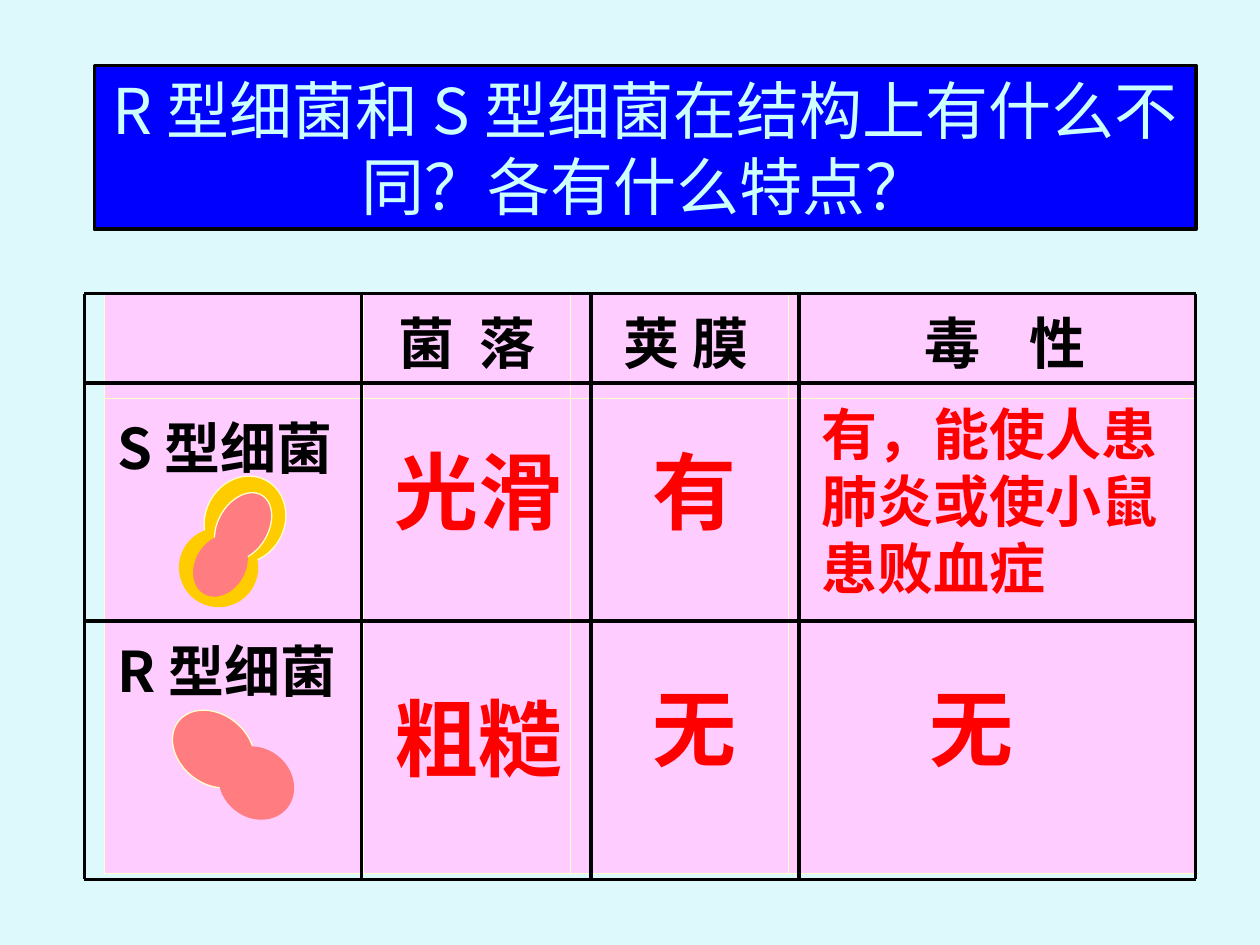
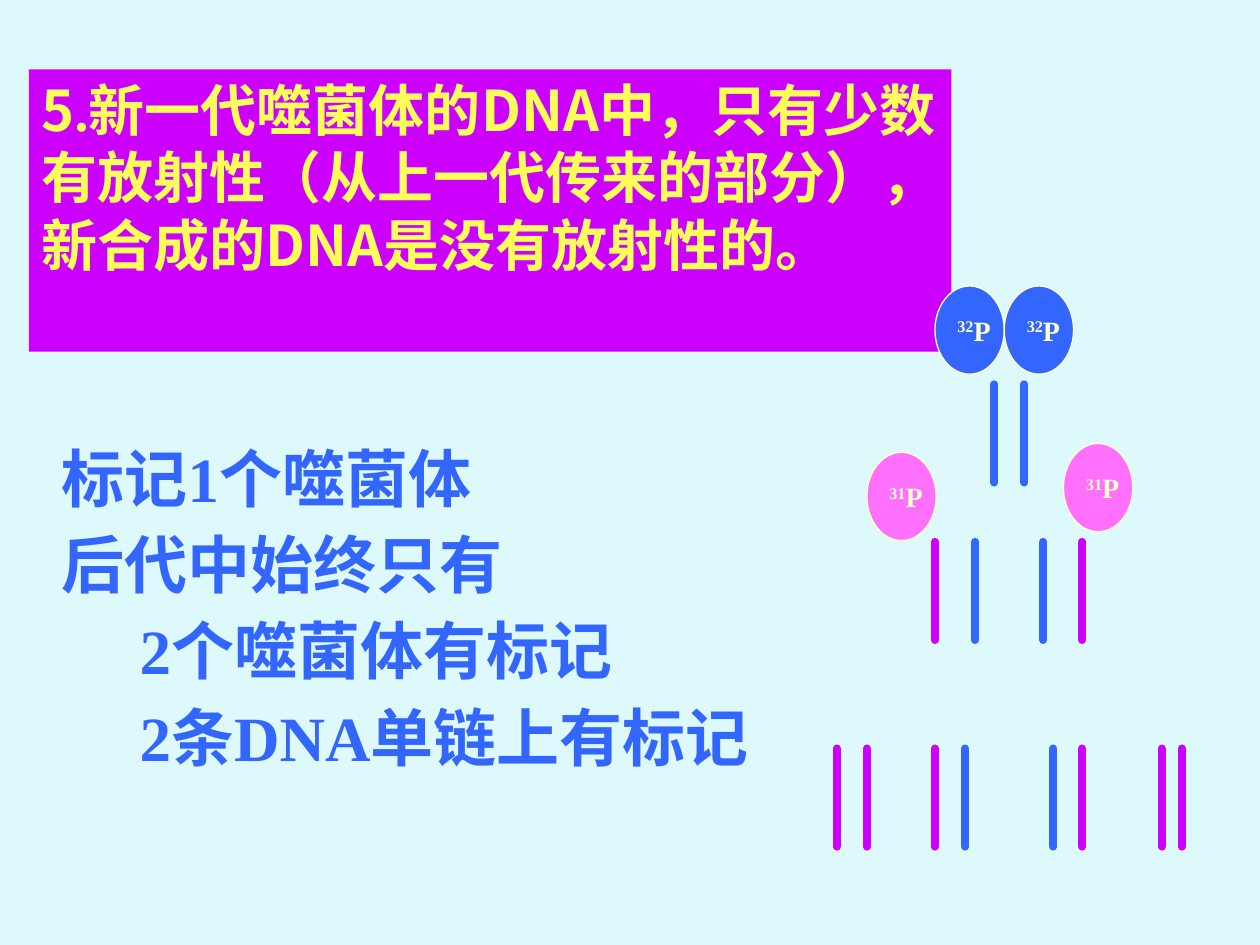
from lxml.etree import SubElement
from pptx import Presentation
from pptx.dml.color import RGBColor
from pptx.enum.shapes import MSO_CONNECTOR, MSO_SHAPE
from pptx.enum.text import MSO_ANCHOR, MSO_AUTO_SIZE, PP_ALIGN
from pptx.oxml.ns import qn
from pptx.util import Emu, Pt

EMU_PER_PX = 9144  # 100 px to the inch
SANS = "Noto Sans CJK SC"
SERIF = "Times New Roman"

BACKGROUND = "DDF9FB"
BLACK = "000000"
TITLE_BLUE = "0000FF"
TITLE_TEXT = "CCFFFF"
PURPLE = "CC00FF"
YELLOW = "FFFF59"
BLUE = "3366FF"
PINK = "FF70FF"
CREAM = "FFFFCC"
CELL_PINK = "FFCCFF"
RED = "FF0000"
CAPSULE = "FFCC00"
BACTERIUM = "FF7C80"


def px(length):
    return Emu(length * EMU_PER_PX)


def color(hex_string):
    return RGBColor.from_string(hex_string)


def paint(shape, fill, line=None, width=0.75):
    shape.fill.solid()
    shape.fill.fore_color.rgb = color(fill)
    if line:
        shape.line.color.rgb = color(line)
        shape.line.width = Pt(width)
    else:
        shape.line.fill.background()


def write(paragraph, parts, size, hex_string, bold=True, latin=SANS):
    """Fill the paragraph with one run for each part, all in one style."""
    for part in parts:
        run = paragraph.add_run()
        run.text = part
        run.font.size = Pt(size)
        run.font.bold = bold
        run.font.color.rgb = color(hex_string)
        run.font.name = latin
        SubElement(run.font._element, qn("a:ea"), typeface=SANS)
    return paragraph.runs


def set_frame(text_frame):
    text_frame.word_wrap = True
    text_frame.auto_size = MSO_AUTO_SIZE.NONE
    text_frame.vertical_anchor = MSO_ANCHOR.TOP
    text_frame.margin_left = text_frame.margin_right = px(10)
    text_frame.margin_top = text_frame.margin_bottom = px(5)


def set_lines(paragraph, size):
    """Tighten the line spacing and keep punctuation inside the box."""
    paragraph.line_spacing = Pt(size * 1.2)
    paragraph._p.get_or_add_pPr().set("hangingPunct", "0")


def add_titled_slide(presentation, box, parts, size, fill, text_color,
                     line=None, bold=True, alignment=PP_ALIGN.LEFT):
    """Add a title-only slide and return it with the runs of its title."""
    slide = presentation.slides.add_slide(presentation.slide_layouts[5])
    title = slide.shapes.title
    title.left, title.top, title.width, title.height = map(px, box)
    paint(title, fill, line, 2.25)
    set_frame(title.text_frame)
    paragraph = title.text_frame.paragraphs[0]
    paragraph.alignment = alignment
    set_lines(paragraph, size)
    return slide, write(paragraph, parts, size, text_color, bold)


def add_text(slide, box, lines, size, hex_string, latin=SANS):
    """Add a text box; each line is a pair of text and left indent."""
    text_frame = slide.shapes.add_textbox(*map(px, box)).text_frame
    set_frame(text_frame)
    for index, (text, indent) in enumerate(lines):
        paragraph = text_frame.add_paragraph() if index else text_frame.paragraphs[0]
        if index:
            paragraph.space_before = Pt(6)
        if indent:
            paragraph._p.get_or_add_pPr().set("marL", str(px(indent)))
        set_lines(paragraph, size)
        write(paragraph, [text], size, hex_string, latin=latin)


def add_ellipse(shapes, box, fill, line=None, rotation=0):
    ellipse = shapes.add_shape(MSO_SHAPE.OVAL, *map(px, box))
    ellipse.shadow.inherit = False
    ellipse.rotation = rotation
    paint(ellipse, fill, line)
    return ellipse


def add_line(slide, start, end, hex_string, width, round_cap=False):
    line = slide.shapes.add_connector(MSO_CONNECTOR.STRAIGHT, *map(px, start + end))
    line.line.color.rgb = color(hex_string)
    line.line.width = Pt(width)
    if round_cap:
        line.line._get_or_add_ln().set("cap", "rnd")
    SubElement(line._element.spPr, qn("a:effectLst"))


def format_cell(cell):
    properties = cell._tc.get_or_add_tcPr()
    for side in ("lnL", "lnR", "lnT", "lnB"):
        border = SubElement(properties, qn(f"a:{side}"), w=str(Pt(0.45)))
        fill = SubElement(border, qn("a:solidFill"))
        SubElement(fill, qn("a:srgbClr"), val=CREAM)
    cell.fill.solid()
    cell.fill.fore_color.rgb = color(CELL_PINK)
    cell.margin_left = cell.margin_right = px(10)
    cell.margin_top = cell.margin_bottom = px(5)


def add_comparison_table(slide, box):
    table = slide.shapes.add_table(3, 4, *map(px, box)).table
    table.first_row = table.horz_banding = False
    for column, width in zip(table.columns, (205, 165, 173, 323)):
        column.width = px(width)
    for row, height in zip(table.rows, (83, 177, 200)):
        row.height = px(height)
    for cell in table.iter_cells():
        format_cell(cell)

    # Heading characters, extra points between them, extra left margin
    headings = [("菌", "落", 7, 0), ("荚", "膜", 0, 10), ("毒", "性", 21, 20)]
    for column, (first, second, gap, margin) in enumerate(headings, start=1):
        cell = table.cell(0, column)
        cell.margin_left = px(10 + margin)
        paragraph = cell.text_frame.paragraphs[0]
        paragraph.alignment = PP_ALIGN.CENTER
        runs = write(paragraph, [first, " ", second], 32, BLACK)
        runs[1].font._element.set("spc", str(gap * 100))
    for row, name in enumerate(("S 型细菌", "R 型细菌"), start=1):
        write(table.cell(row, 0).text_frame.paragraphs[0], [name], 32, BLACK)


def add_ruling(slide, box):
    """Draw the black grid over the table."""
    left, top, width, height = box
    for x in (0, 220, 402, 567, width):
        add_line(slide, (left + x, top), (left + x, top + height), BLACK, 2)
    for y in (0, 71, 260, height):
        add_line(slide, (left, top + y), (left + width, top + y), BLACK, 2)


def add_bacterium(slide, origin, ellipses):
    left, top = origin
    group = slide.shapes.add_group_shape()
    for x, y, width, height, rotation, fill, line in ellipses:
        add_ellipse(group.shapes, (left + x, top + y, width, height),
                    fill, line, rotation)


def add_answers(slide, box):
    left, top = box[:2]
    answers = [
        ("粗糙", 220, 307, 157, 90, 48),
        ("无", 425, 299, 165, 90, 48),
        ("光滑", 220, 111, 157, 90, 48),
        ("有", 425, 111, 102, 90, 48),
        ("有，能使人患肺炎或使小鼠患败血症", 559, 79, 323, 170, 32),
        ("无", 645, 299, 110, 90, 48),
    ]
    for text, x, y, width, height, size in answers:
        add_text(slide, (left + x, top + y, width, height), [(text, 0)], size, RED)


def add_phosphorus(slide, box, mass, fill):
    ellipse = add_ellipse(slide.shapes, box, fill, CREAM)
    text_frame = ellipse.text_frame
    text_frame.word_wrap = False
    text_frame.vertical_anchor = MSO_ANCHOR.MIDDLE
    paragraph = text_frame.paragraphs[0]
    paragraph.alignment = PP_ALIGN.LEFT
    runs = write(paragraph, [mass, "P"], 16, CREAM, latin=SERIF)
    runs[0].font._element.set("baseline", "30000")


def add_replication(slide, box):
    """Draw three generations of DNA strands with their labels."""
    left, top = box[:2]
    generations = [
        (78, [(125, BLUE), (149, BLUE)]),
        (203, [(78, PURPLE), (110, BLUE), (164, BLUE), (195, PURPLE)]),
        (367, [(0, PURPLE), (24, PURPLE), (78, PURPLE), (102, BLUE),
               (172, BLUE), (195, PURPLE), (258, PURPLE), (274, PURPLE)]),
    ]
    for y, strands in generations:
        for x, hex_string in strands:
            add_line(slide, (left + x, top + y), (left + x, top + y + 78),
                     hex_string, 4.5, round_cap=True)
    labels = [(78, 0, "32", BLUE), (133, 0, "32", BLUE),
              (24, 132, "31", PINK), (180, 125, "31", PINK)]
    for x, y, mass, fill in labels:
        add_phosphorus(slide, (left + x, top + y, 55, 70), mass, fill)


def build_bacteria_slide(presentation):
    slide, _ = add_titled_slide(
        presentation, (75, 52, 874, 130),
        ["R 型细菌和 S 型细菌在结构上有什么不同？各有什么特点？"],
        36, TITLE_BLUE, TITLE_TEXT, BLACK, False, PP_ALIGN.CENTER)
    table_box = (83, 233, 866, 460)
    add_comparison_table(slide, table_box)
    add_bacterium(slide, (142, 377), [
        (21, 0, 63, 71, 28.2, CAPSULE, CREAM),
        (0, 42, 63, 63, 28.2, CAPSULE, None),
        (31, 12, 40, 58, 30.7, BACTERIUM, CREAM),
        (13, 46, 40, 52, 30.7, BACTERIUM, None),
    ])
    add_bacterium(slide, (142, 559), [
        (0, 0, 55, 71, 308.6, BACTERIUM, CREAM),
        (34, 31, 55, 63, 308.6, BACTERIUM, None),
    ])
    add_answers(slide, table_box)
    add_ruling(slide, (67, 233, 882, 465))


def build_phage_slide(presentation):
    slide, runs = add_titled_slide(
        presentation, (23, 55, 732, 224),
        ["5", ".", "新一代噬菌体的DNA中，只有少数有放射性（从上一代传来的部分），"
                   "新合成的DNA是没有放射性的。"],
        32, PURPLE, YELLOW)
    runs[1].font.name = SERIF
    add_text(slide, (39, 344, 711, 275), [
        ("标记1个噬菌体", 0),
        ("后代中始终只有", 0),
        ("2个噬菌体有标记", 62),
        ("2条DNA单链上有标记", 62),
    ], 36, BLUE, SERIF)
    add_replication(slide, (664, 227, 274, 445))


def main():
    presentation = Presentation()
    presentation.slide_width = px(1000)
    presentation.slide_height = px(750)
    background = presentation.slide_master.background.fill
    background.solid()
    background.fore_color.rgb = color(BACKGROUND)
    build_bacteria_slide(presentation)
    build_phage_slide(presentation)
    presentation.save("out.pptx")


if __name__ == "__main__":
    main()
